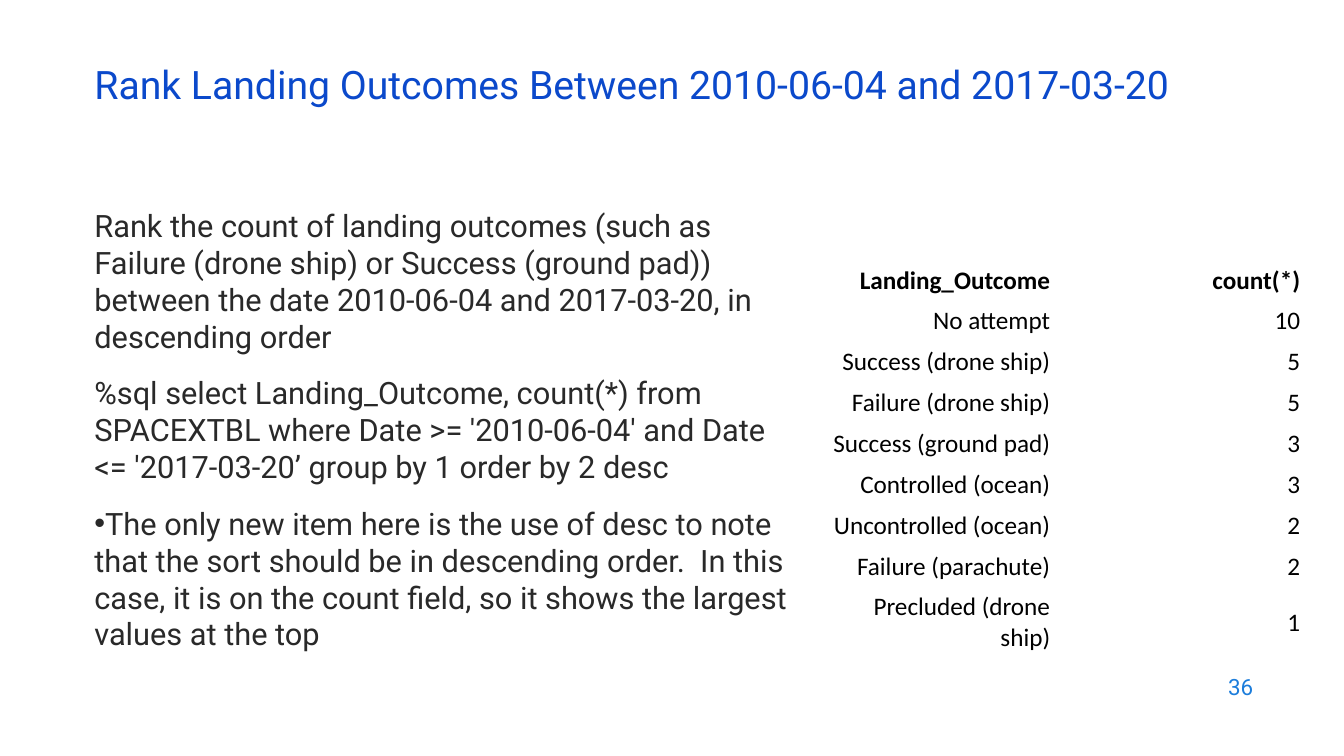
from lxml import etree
from pptx import Presentation
from pptx.dml.color import RGBColor
from pptx.enum import text
from pptx.oxml import ns
from pptx.util import Cm, Pt

TITLE = "Rank Landing Outcomes Between 2010-06-04 and 2017-03-20"
TASK = ("Rank the count of landing outcomes (such as Failure (drone ship) or "
        "Success (ground pad)) between the date 2010-06-04 and 2017-03-20, "
        "in descending order")
QUERY = ("%sql select Landing_Outcome, count(*) from SPACEXTBL where "
         "Date >= '2010-06-04' and Date <= '2017-03-20’ group by 1 order by 2 desc")
REMARK = ("The only new item here is the use of desc to note that the sort should "
          "be in descending order.  In this case, it is on the count field, so it "
          "shows the largest values at the top")
OUTCOMES = [
    ("Landing_Outcome", "count(*)"),
    ("No attempt", "10"),
    ("Success (drone ship)", "5"),
    ("Failure (drone ship)", "5"),
    ("Success (ground pad)", "3"),
    ("Controlled (ocean)", "3"),
    ("Uncontrolled (ocean)", "2"),
    ("Failure (parachute)", "2"),
    ("Precluded (drone ship)", "1"),
]


def color(value):
    return RGBColor.from_string(value)


def add_run(p, words, size, fill, name="Roboto", bold=False):
    r = p.add_run()
    r.text = words
    r.font.name = name
    r.font.size = Pt(size)
    r.font.bold = bold
    r.font.color.rgb = color(fill)


def add_bullet(p):
    pPr = p._p.get_or_add_pPr()
    pPr.set("marL", "0")
    pPr.set("indent", "0")
    etree.SubElement(pPr, ns.qn("a:buFont")).set("typeface", "Arial")
    etree.SubElement(pPr, ns.qn("a:buChar")).set("char", "•")


def add_text(s, box, paragraphs, size, fill, anchor=text.MSO_ANCHOR.MIDDLE):
    tf = s.shapes.add_textbox(*map(Cm, box)).text_frame
    tf.word_wrap = True
    tf.vertical_anchor = anchor
    for i, words in enumerate(paragraphs):
        p = tf.add_paragraph() if i else tf.paragraphs[0]
        if i:
            p.space_before = Pt(14)
        add_run(p, words, size, fill)
    return tf.paragraphs


def add_outcome_table(s, left, top, col_width, row_height):
    rows, cols = len(OUTCOMES), len(OUTCOMES[0])
    table = s.shapes.add_table(rows, cols, Cm(left), Cm(top),
                               Cm(col_width * cols), Cm(row_height * rows)).table
    for col in table.columns:
        col.width = Cm(col_width)
    for i, values in enumerate(OUTCOMES):
        table.rows[i].height = Cm(row_height)
        for j, value in enumerate(values):
            cell = table.cell(i, j)
            cell.fill.solid()
            cell.fill.fore_color.rgb = color("FFFFFF")
            cell.vertical_anchor = text.MSO_ANCHOR.MIDDLE
            p = cell.text_frame.paragraphs[0]
            p.alignment = text.PP_ALIGN.RIGHT
            add_run(p, value, 18, "000000", "Calibri", bold=i == 0)
    table.rows[rows - 1].height = Cm(1.8)


def main():
    prs = Presentation()
    prs.slide_width, prs.slide_height = Cm(33.87), Cm(19.05)
    s = prs.slides.add_slide(prs.slide_layouts[6])
    number = add_text(s, (24.21, 16.74, 7.62, 1.12), ["36"], 16, "1C7DDB")
    number[0].alignment = text.PP_ALIGN.RIGHT
    body = add_text(s, (2.13, 5.08, 18.29, 12.09), [TASK, QUERY, REMARK], 22,
                    "292929", text.MSO_ANCHOR.TOP)
    add_bullet(body[-1])
    title = add_text(s, (2.13, 1.5, 29.21, 1.52), [TITLE], 28, "0B49CB")
    title[0].line_spacing = 0.7
    add_outcome_table(s, 20.42, 6.55, 6.3, 1.03)
    prs.save("out.pptx")


if __name__ == "__main__":
    main()
